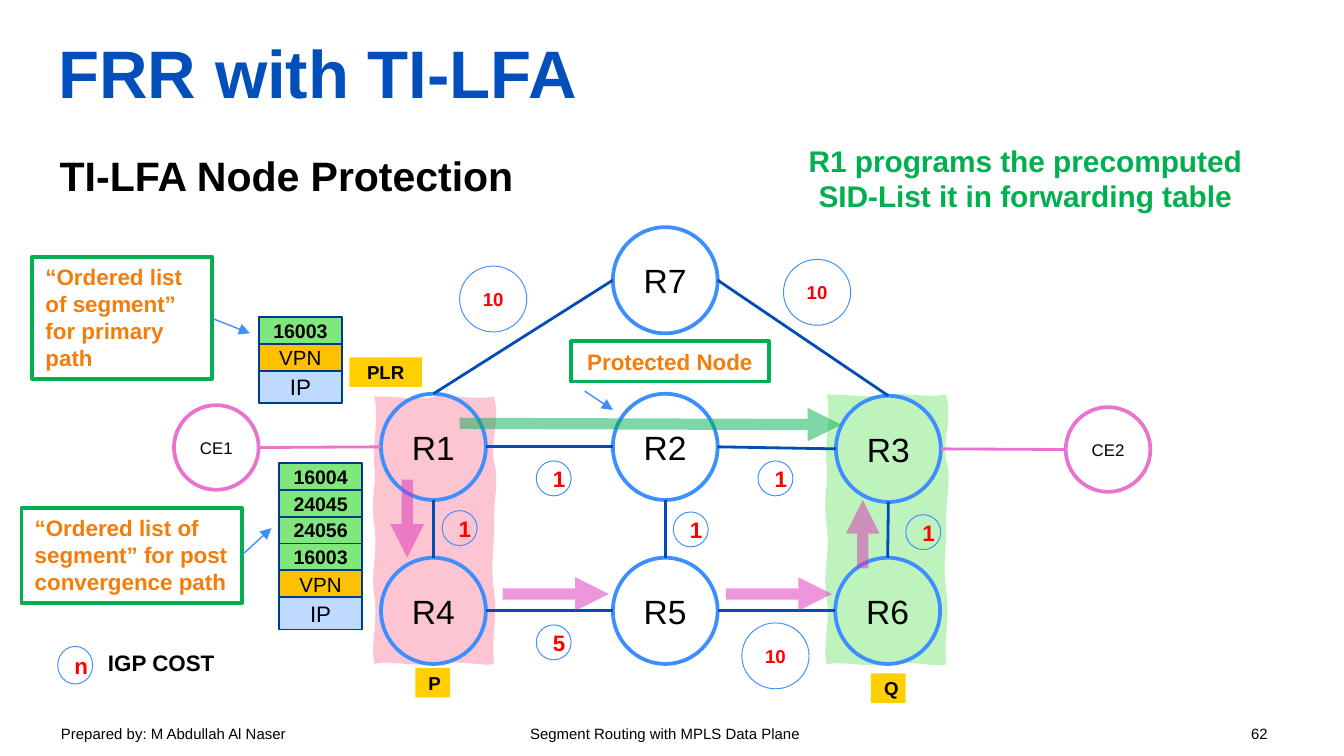
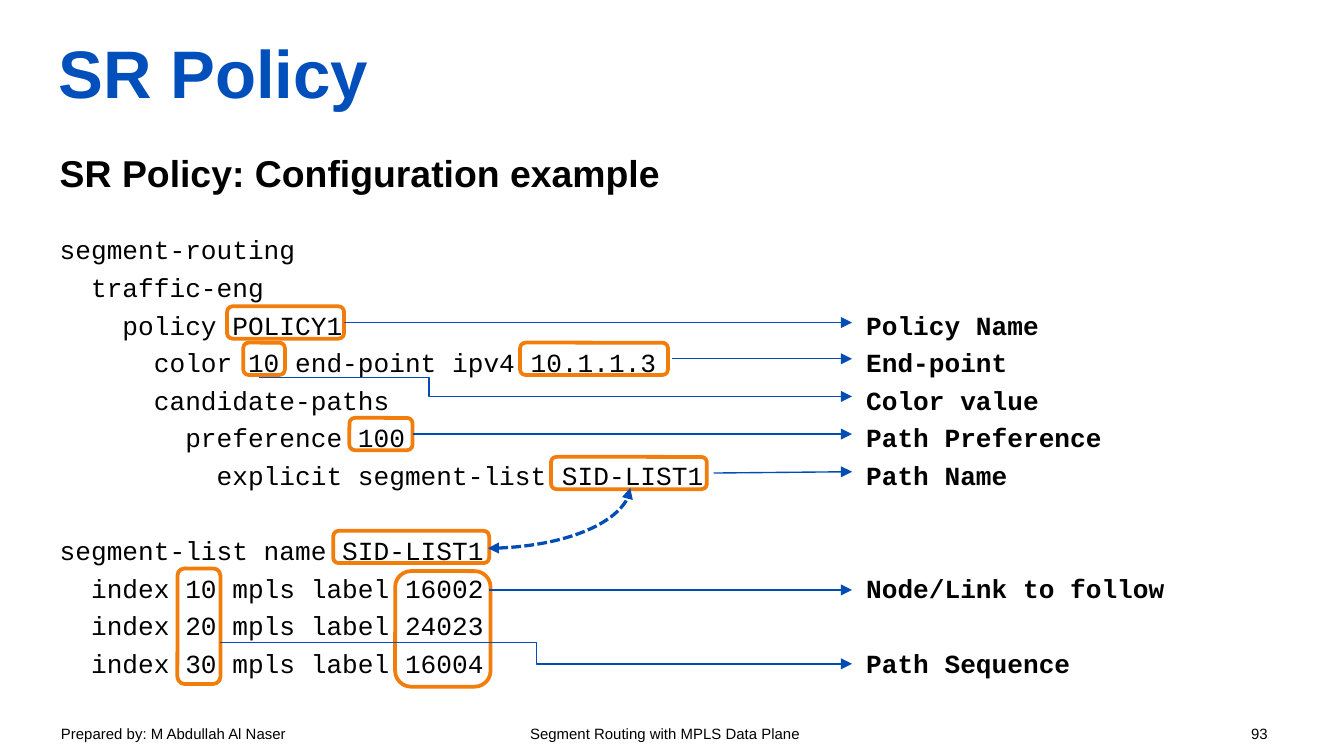
import dataclasses

import lxml.etree
import pptx
import pptx.dml.color
import pptx.enum.dml
import pptx.enum.shapes
import pptx.enum.text
import pptx.oxml.ns
import pptx.util

qn = pptx.oxml.ns.qn
Pt = pptx.util.Pt
SHAPES = pptx.enum.shapes.MSO_SHAPE
LINKS = pptx.enum.shapes.MSO_CONNECTOR
ALIGN = pptx.enum.text.PP_ALIGN
ANCHOR = pptx.enum.text.MSO_ANCHOR

SLIDE_WIDTH = pptx.util.Inches(10)
SLIDE_HEIGHT = SLIDE_WIDTH * 9 // 16
CELL = SLIDE_WIDTH / 100


@dataclasses.dataclass(frozen=True)
class Theme:
    font: str = "Arial"
    code_font: str = "Courier New"
    title: str = "004FBB"
    text: str = "000000"
    link: str = "004DB6"
    node: str = "3D8FFF"
    customer: str = "E874D0"
    cost: str = "FF0000"
    green: str = "00B050"
    orange: str = "F27D0A"
    detour: str = "DC2FB9"
    tag: str = "FFCF00"
    label_edge: str = "003A8A"
    sid: str = "80E77C"
    vpn: str = "FFC000"
    ip: str = "BEDAFF"
    p_space: str = "FDC4D2"
    q_space: str = "BFF3BE"
    title_size: float = 36
    heading_size: float = 22
    config_heading_size: float = 20
    node_size: float = 18
    remark_size: float = 16
    code_size: float = 14
    note_size: float = 12
    vpn_size: float = 11
    sid_size: float = 10.5
    tag_size: float = 10
    customer_size: float = 9
    footer_size: float = 8
    code_pitch: float = 20.16


THEME = Theme()

ZONE_WIDTH, ZONE_HEIGHT = 8.9, 20.2
ZONE_CURVES = [
    ((9.4, 2), (8.6, 3.4), (8.9, 4.9)),
    ((9.3, 6.4), (8.9, 7.5), (8.9, 9.3)),
    ((9, 11.1), (8.6, 12.4), (8.9, 14.7)),
    ((9.2, 17), (8.7, 17.9), (8.9, 20.2)),
    ((8, 20.4), (6.6, 19.9), (4.6, 20.2)),
    ((2.5, 20.4), (1.1, 19.9), (0, 20.2)),
    ((-0.3, 18.4), (0.3, 17.2), (0, 15.1)),
    ((-0.3, 13), (0.3, 12), (0, 9.7)),
    ((-0.3, 7.4), (0.2, 6.7), (0, 5.3)),
    ((-0.2, 3.8), (0.4, 1.6), (0, 0)),
    ((1.8, 0), (3.5, 0.3), (4.5, 0)),
    ((5.4, -0.2), (7.5, 0.3), (8.9, 0)),
]

ROUTERS = {"R1": (28.35, 29.3), "R2": (45.6, 29.3), "R3": (62.2, 29.45),
           "R4": (28.35, 41.5), "R5": (45.6, 41.5), "R6": (62.15, 41.5),
           "R7": (45.6, 16.9)}
CUSTOMERS = {"CE1": (12.95, 30.15), "CE2": (79.3, 30.3)}
SIDES = {"top": (0.5, 0), "bottom": (0.5, 1), "left": (0, 0.5), "right": (1, 0.5)}
ROUTER_LINKS = [
    ("R1", "top", "R7", "left"), ("R7", "right", "R3", "top"),
    ("R1", "right", "R2", "left"), ("R2", "right", "R3", "left"),
    ("R4", "right", "R5", "left"), ("R5", "right", "R6", "left"),
    ("R1", "bottom", "R4", "top"), ("R2", "bottom", "R5", "top"),
    ("R3", "bottom", "R6", "top"),
]
CUSTOMER_LINKS = [("CE1", "right", "R1", "left"), ("CE2", "left", "R3", "right")]
COSTS = [("10", 34.2, 19.8), ("10", 58.3, 19.3), ("10", 55.2, 46.35),
         ("1", 39.9, 34.3), ("1", 56.4, 34.3), ("1", 32.9, 38), ("1", 50.1, 38.1),
         ("1", 67.4, 38.3), ("5", 39.9, 46.5), ("n", 4.3, 48.1)]

CONFIG = [
    ("segment-routing", ""),
    ("  traffic-eng", ""),
    ("    policy POLICY1", "Policy Name"),
    ("      color 10 end-point ipv4 10.1.1.3", "End-point"),
    ("      candidate-paths", "Color value"),
    ("        preference 100", "Path Preference"),
    ("          explicit segment-list SID-LIST1", "Path Name"),
    ("segment-list name SID-LIST1", ""),
    ("  index 10 mpls label 16002", "Node/Link to follow"),
    ("  index 20 mpls label 24023", ""),
    ("  index 30 mpls label 16004", "Path Sequence"),
]
HIGHLIGHTS = [(16.9, 22.8, 8.7, 2.4), (38.7, 25.5, 11, 2.4), (18.1, 25.5, 3.1, 2.4),
              (26, 31.1, 4.7, 2.4), (41, 34, 11.6, 2.4), (24.8, 39.5, 11.6, 2.4),
              (13.2, 42.3, 3.2, 8.6), (29.4, 42.5, 7.1, 8.6)]
CALLOUT_END = 63.4
CALLOUTS = [(25.6, 24, 24), (50, 26.7, 26.7), (30.7, 32.3, 32.3),
            (53.1, 35.2, 35.1), (36.4, 43.9, 43.9)]
BENT_CALLOUTS = [(19.3, 28.1, 29.5, 28.6), (16.4, 47.8, 49.4, 50)]


def grid(*cells):
    return [round(cell * CELL) for cell in cells]


def rgb(color):
    return pptx.dml.color.RGBColor.from_string(color)


def style(font, size, color, bold, name=THEME.font):
    font.name, font.size, font.bold = name, Pt(size), bold
    font.color.rgb = rgb(color)


def write(holder, text, size, color=THEME.text, bold=False, align=ALIGN.CENTER,
          anchor=ANCHOR.MIDDLE, insets=(1, 0.5, 1, 0.5), wrap=True):
    frame = holder.text_frame
    frame.word_wrap = wrap
    frame.vertical_anchor = anchor
    (frame.margin_left, frame.margin_top,
     frame.margin_right, frame.margin_bottom) = grid(*insets)
    frame.text = text
    paragraph = frame.paragraphs[0]
    paragraph.alignment = align
    for run in paragraph.runs:
        style(run.font, size, color, bold)
    return frame


def text_box(slide, area, text, size, **options):
    return write(slide.shapes.add_textbox(*grid(*area)), text, size, **options)


def paint(shape, fill=None, edge=None, weight=1):
    shape.shadow.inherit = False
    if fill:
        shape.fill.solid()
        shape.fill.fore_color.rgb = rgb(fill)
    else:
        shape.fill.background()
    if edge:
        shape.line.color.rgb = rgb(edge)
        shape.line.width = Pt(weight)
    else:
        shape.line.fill.background()
    return shape


def draw(slide, kind, area, **look):
    return paint(slide.shapes.add_shape(kind, *grid(*area)), **look)


def connect(slide, start, end, color, weight, kind=LINKS.STRAIGHT,
            arrows=(), alpha=None, dash=None):
    link = slide.shapes.add_connector(kind, *grid(*start, *end))
    link.line.color.rgb = rgb(color)
    link.line.width = Pt(weight)
    if dash:
        link.line.dash_style = dash
    properties = link._element.spPr
    stroke = properties.find(qn("a:ln"))
    if alpha:
        tint = stroke.find(".//" + qn("a:srgbClr"))
        lxml.etree.SubElement(tint, qn("a:alpha"), val=str(alpha * 1000))
    for arrow in arrows:
        lxml.etree.SubElement(stroke, qn("a:" + arrow), type="triangle")
    lxml.etree.SubElement(properties, qn("a:effectLst"))
    return properties.find(qn("a:prstGeom"))


def add_tabs(paragraph, *stops):
    tabs = lxml.etree.SubElement(paragraph._p.get_or_add_pPr(), qn("a:tabLst"))
    for position, side in stops:
        lxml.etree.SubElement(tabs, qn("a:tab"), pos=str(grid(position)[0]), algn=side)


def start_slide(deck, title, heading, heading_size, number):
    slide = deck.slides.add_slide(deck.slide_layouts[6])
    flush = dict(align=ALIGN.LEFT, insets=(0, 0, 0, 0), bold=True)
    footer = text_box(slide, (3.55, 53.4, 93.2, 2.5),
                      "Prepared by: M Abdullah Al Naser\t"
                      f"Segment Routing with MPLS Data Plane\t{number}",
                      THEME.footer_size, align=ALIGN.LEFT, anchor=ANCHOR.TOP)
    add_tabs(footer.paragraphs[0], (34.9, "l"), (89.8, "r"))
    text_box(slide, (4.35, 0.6, 91.3, 9.4), title, THEME.title_size,
             color=THEME.title, **flush)
    body = text_box(slide, (4.45, 11.2, 91.3, 41.3), heading, heading_size,
                    anchor=ANCHOR.TOP, **flush)
    return slide, body


def zone(slide, left, top, height, color):
    def place(point):
        return grid(point[0], point[1] * height / ZONE_HEIGHT)

    corners = [place(curve[-1]) for curve in ZONE_CURVES]
    outline = slide.shapes.build_freeform(*corners[-1])
    outline.add_line_segments(corners)
    band = paint(outline.convert_to_shape(*grid(left, top)), fill=color)
    sides = band._element.spPr.findall(".//" + qn("a:lnTo"))
    for side, curve in zip(sides, ZONE_CURVES):
        side.tag = qn("a:cubicBezTo")
        for position, control in enumerate(curve[:2]):
            x, y = place(control)
            handle = lxml.etree.Element(qn("a:pt"), x=str(x), y=str(y))
            side.insert(position, handle)


def node(slide, name, area, color, size):
    circle = draw(slide, SHAPES.OVAL, area, edge=color, weight=2)
    write(circle, name, size, insets=(0, 0, 0, 0))


def port(areas, name, side):
    left, top, width, height = areas[name]
    across, down = SIDES[side]
    return left + across * width, top + down * height


def cost(slide, value, left, top):
    wide = len(value) > 1
    width, height = (5, 4.9) if wide else (2.6, 2.8 if value == "n" else 2.6)
    circle = draw(slide, SHAPES.OVAL, (left, top, width, height),
                  edge=THEME.node, weight=0.5)
    write(circle, value, THEME.tag_size if wide else THEME.note_size, THEME.cost,
          True, insets=(0, 0, 0, 0) if wide else (1, 0.5, 1, 0.5))


def tag(slide, name, area):
    write(draw(slide, SHAPES.RECTANGLE, area, fill=THEME.tag), name,
          THEME.tag_size, bold=True)


def label_stack(slide, left, top, labels):
    looks = {"VPN": (THEME.vpn, THEME.vpn_size, 2), "IP": (THEME.ip, THEME.note_size, 2.4)}
    for label in labels:
        color, size, height = looks.get(label, (THEME.sid, THEME.sid_size, 2))
        row = draw(slide, SHAPES.RECTANGLE, (left, top, 6.2, height),
                   fill=color, edge=THEME.label_edge)
        write(row, label, size, bold=label not in looks, insets=(0.5, 0.5, 0.5, 0.5))
        top += height


def note(slide, text, area, start, end, align=ALIGN.LEFT):
    frame = draw(slide, SHAPES.RECTANGLE, area, edge=THEME.green, weight=2)
    write(frame, text, THEME.note_size, THEME.orange, True, align, ANCHOR.TOP,
          insets=(1, 0.5, 0.5 if align == ALIGN.LEFT else 1, 0.5))
    connect(slide, start, end, THEME.node, 0.75, arrows=["tailEnd"])


def protection_slide(deck):
    slide, _ = start_slide(deck, "FRR with TI-LFA", "TI-LFA Node Protection",
                           THEME.heading_size, 62)
    zone(slide, 61.5, 29.35, 20.1, THEME.q_space)
    zone(slide, 27.85, 29.5, 19.9, THEME.p_space)
    text_box(slide, (57, 10.1, 38.6, 6.4),
             "R1 programs the precomputed SID-List it in forwarding table",
             THEME.remark_size, color=THEME.green, bold=True, anchor=ANCHOR.TOP)

    areas = {}
    for places, width, height, color, size in (
            (ROUTERS, 7.8, 7.9, THEME.node, THEME.node_size),
            (CUSTOMERS, 6.3, 6.3, THEME.customer, THEME.customer_size)):
        for name, place in places.items():
            areas[name] = (*place, width, height)
            node(slide, name, areas[name], color, size)
    for links, color in ((ROUTER_LINKS, THEME.link), (CUSTOMER_LINKS, THEME.customer)):
        for near, near_side, far, far_side in links:
            connect(slide, port(areas, near, near_side), port(areas, far, far_side),
                    color, 1.5)
    for value, left, top in COSTS:
        cost(slide, value, left, top)
    text_box(slide, (6.95, 47.8, 10.1, 3), "IGP COST", THEME.note_size,
             bold=True, anchor=ANCHOR.TOP, wrap=False)

    label_stack(slide, 19.25, 23.6, ["16003", "VPN", "IP"])
    label_stack(slide, 20.75, 34.45, ["16004", "24045", "24056", "16003", "VPN", "IP"])
    tag(slide, "PLR", (26, 26.6, 5.4, 2.2))
    tag(slide, "P", (30.9, 49.7, 2.6, 2.2))
    tag(slide, "Q", (64.8, 50.1, 2.6, 2.2))
    note(slide, "“Ordered list of segment” for primary path",
         (2.4, 19.1, 13.4, 9.1), (15.8, 23.7), (18.6, 24.8))
    note(slide, "“Ordered list of segment” for post convergence path",
         (1.6, 37.8, 16.4, 7.1), (18, 41.3), (20.2, 39.3))
    note(slide, "Protected Node", (42.5, 25.4, 14.7, 3),
         (43.5, 29.1), (45.6, 30.5), ALIGN.CENTER)

    for start, end, color in (
            ((34.2, 31.5), (62.6, 31.6), THEME.green),
            ((30.3, 35.7), (30.3, 41.5), THEME.detour),
            ((37.4, 44.2), (45.3, 44.2), THEME.detour),
            ((54, 44.2), (61.9, 44.2), THEME.detour),
            ((64.2, 42.3), (64.2, 37.2), THEME.detour)):
        connect(slide, start, end, color, 6, arrows=["tailEnd"], alpha=50)


def config_line(body, code, meaning, gap):
    paragraph = body.add_paragraph()
    paragraph.text = code
    add_tabs(paragraph, (60, "l"))
    paragraph.line_spacing = Pt(THEME.code_pitch)
    paragraph.space_before = Pt(gap)
    if meaning:
        paragraph.add_run().text = "\t" + meaning
    for position, run in enumerate(paragraph.runs):
        style(run.font, THEME.code_size, THEME.text, position > 0, THEME.code_font)


def policy_slide(deck):
    slide, body = start_slide(deck, "SR Policy", "SR Policy: Configuration example",
                              THEME.config_heading_size, 93)
    gaps = {"segment-routing": 17.2, "segment-list name SID-LIST1": THEME.code_pitch}
    for code, meaning in CONFIG:
        config_line(body, code, meaning, gaps.get(code, 0))
    for area in HIGHLIGHTS:
        draw(slide, SHAPES.ROUNDED_RECTANGLE, area, edge=THEME.orange, weight=2)
    for left, top, end_top in CALLOUTS:
        connect(slide, (left, top), (CALLOUT_END, end_top), THEME.link, 0.75,
                arrows=["tailEnd"])
    for left, top, end_top, bend in BENT_CALLOUTS:
        geometry = connect(slide, (left, top), (CALLOUT_END, end_top), THEME.link, 0.75,
                           LINKS.ELBOW, arrows=["tailEnd"])
        guides = geometry.get_or_add_avLst()
        lxml.etree.SubElement(guides, qn("a:gd"), name="adj1",
                              fmla=f"val {round(bend * 1000)}")
    geometry = connect(slide, (36.3, 40.8), (46.9, 36.3), THEME.link, 1.75, LINKS.CURVE,
                       arrows=["headEnd", "tailEnd"],
                       dash=pptx.enum.dml.MSO_LINE.SQUARE_DOT)
    geometry.set("prst", "curvedConnector2")


def main():
    deck = pptx.Presentation()
    deck.slide_width, deck.slide_height = SLIDE_WIDTH, SLIDE_HEIGHT
    protection_slide(deck)
    policy_slide(deck)
    deck.save("out.pptx")


if __name__ == "__main__":
    main()
